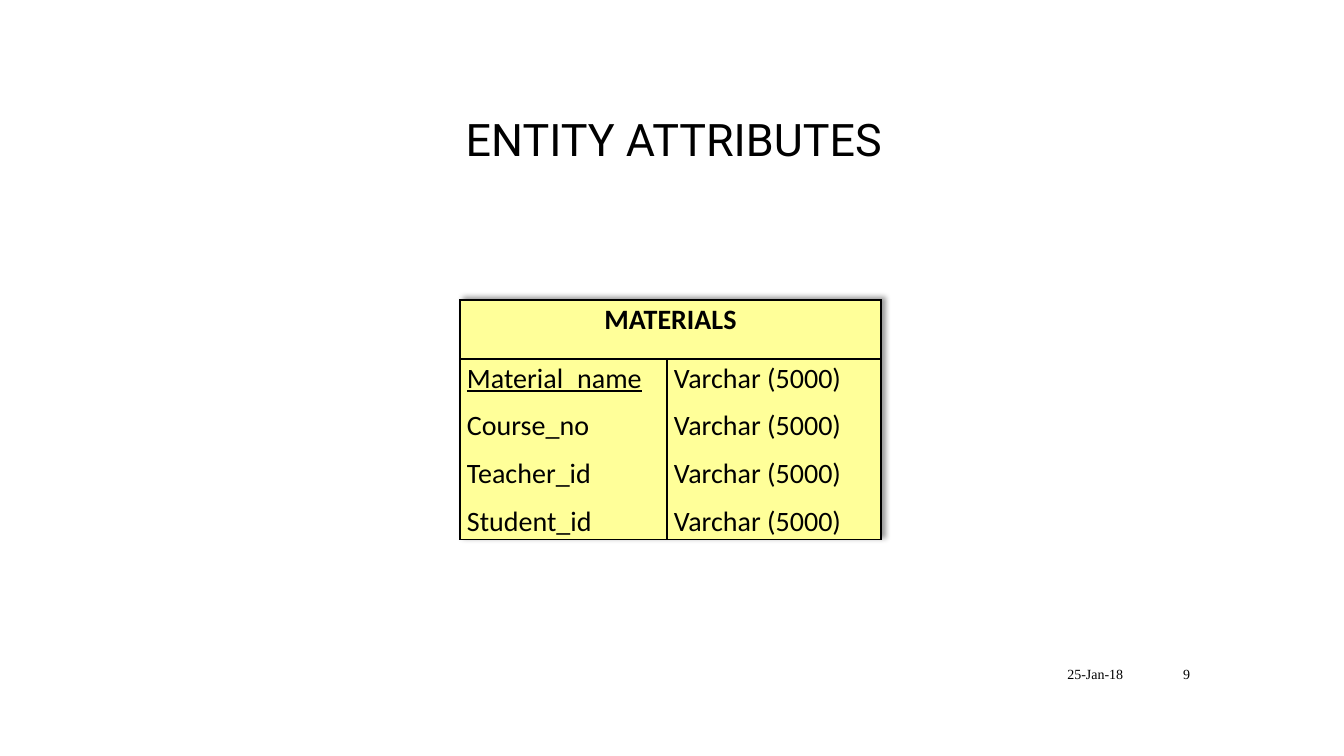
"""Build the entity attributes slide for the MATERIALS entity."""
from lxml import etree
from pptx import Presentation
from pptx.dml.color import RGBColor
from pptx.enum.text import MSO_ANCHOR, PP_ALIGN
from pptx.oxml import parse_xml
from pptx.util import Pt

LEFT, CENTER, RIGHT = PP_ALIGN.LEFT, PP_ALIGN.CENTER, PP_ALIGN.RIGHT
TOP, MIDDLE = MSO_ANCHOR.TOP, MSO_ANCHOR.MIDDLE
NS = "http://schemas.openxmlformats.org/drawingml/2006/main"
COLORS = {"text": "000000", "cell": "FFFF99", "line": "000000", "shadow": "000000"}

TITLE = "ENTITY ATTRIBUTES"
ENTITY = "MATERIALS"
ATTRIBUTES = [
    ("Material_name", "Varchar (5000)"),
    ("Course_no", "Varchar (5000)"),
    ("Teacher_id", "Varchar (5000)"),
    ("Student_id", "Varchar (5000)"),
]
KEY = "Material_name"
FOOTERS = [("25-Jan-18", (957, 658, 176, 31)), ("9", (1141, 658, 59, 31))]

SLIDE_SIZE = (1344, 756)
TITLE_BOX = (187, 107, 974, 65)
TABLE_BOX = (460, 300, 421, 235)
COL_WIDTHS = (207, 214)
ROW_HEIGHTS = (59, 176)
CELL_MARGIN = 7

TITLE_FONT = {"name": "Roboto", "size": Pt(32), "bold": False}
CELL_FONT = {"name": "Calibri", "size": Pt(20), "bold": False}
FOOTER_FONT = {"name": "Times New Roman", "size": Pt(10)}


def px(n):
    return round(n * 914400 / 100.8)


def place(sp, box):
    sp.left, sp.top, sp.width, sp.height = map(px, box)


def apply(target, formats):
    for name, value in formats.items():
        setattr(target, name, value)


def write(tf, lines, font, para, key=None):
    for i, line in enumerate(lines):
        p = tf.add_paragraph() if i else tf.paragraphs[0]
        apply(p, para)
        r = p.add_run()
        r.text = line
        apply(r.font, font)
        r.font.color.rgb = RGBColor.from_string(COLORS["text"])
        if line == key:
            r.font.underline = True


def style_cell(cell):
    apply(cell, {"margin_left": px(CELL_MARGIN), "margin_right": px(CELL_MARGIN),
                 "margin_top": 0, "margin_bottom": 0, "vertical_anchor": TOP})
    cell.fill.solid()
    cell.fill.fore_color.rgb = RGBColor.from_string(COLORS["cell"])
    tc_pr = cell._tc.get_or_add_tcPr()
    for i, side in enumerate(("lnL", "lnR", "lnT", "lnB")):
        ln = etree.Element(f"{{{NS}}}{side}", w=str(Pt(1)))
        fill = etree.SubElement(ln, f"{{{NS}}}solidFill")
        etree.SubElement(fill, f"{{{NS}}}srgbClr", val=COLORS["line"])
        tc_pr.insert(i, ln)


def add_shadow(table):
    table._tbl.tblPr.insert(0, parse_xml(
        f'<a:effectLst xmlns:a="{NS}"><a:outerShdw blurRad="50800" dist="38100" '
        f'dir="18900000" algn="bl" rotWithShape="0"><a:srgbClr val="{COLORS["shadow"]}">'
        '<a:alpha val="40000"/></a:srgbClr></a:outerShdw></a:effectLst>'))


def add_entity_table(slide):
    table = slide.shapes.add_table(2, 2, *map(px, TABLE_BOX)).table
    apply(table, {"first_row": False, "horz_banding": False})
    for col, width in zip(table.columns, COL_WIDTHS):
        col.width = px(width)
    for row, height in zip(table.rows, ROW_HEIGHTS):
        row.height = px(height)
    for cell in table.iter_cells():
        style_cell(cell)
    header = table.cell(0, 0)
    header.merge(table.cell(0, 1))
    write(header.text_frame, [ENTITY], {**CELL_FONT, "bold": True},
          {"alignment": CENTER, "line_spacing": 1.07})
    for c, lines in enumerate(zip(*ATTRIBUTES)):
        write(table.cell(1, c).text_frame, lines, CELL_FONT,
              {"alignment": LEFT, "line_spacing": 1.07, "space_after": Pt(8)}, KEY)
    add_shadow(table)


def main():
    prs = Presentation()
    prs.slide_width, prs.slide_height = map(px, SLIDE_SIZE)
    slide = prs.slides.add_slide(prs.slide_layouts[5])

    title = slide.shapes.title
    place(title, TITLE_BOX)
    apply(title.text_frame, {"vertical_anchor": TOP, "word_wrap": True})
    write(title.text_frame, [TITLE], TITLE_FONT, {"alignment": CENTER})

    add_entity_table(slide)

    for text, box in FOOTERS:
        tf = slide.shapes.add_textbox(*map(px, box)).text_frame
        apply(tf, {"word_wrap": True, "vertical_anchor": MIDDLE})
        write(tf, [text], FOOTER_FONT, {"alignment": RIGHT})

    prs.save("out.pptx")


if __name__ == "__main__":
    main()
